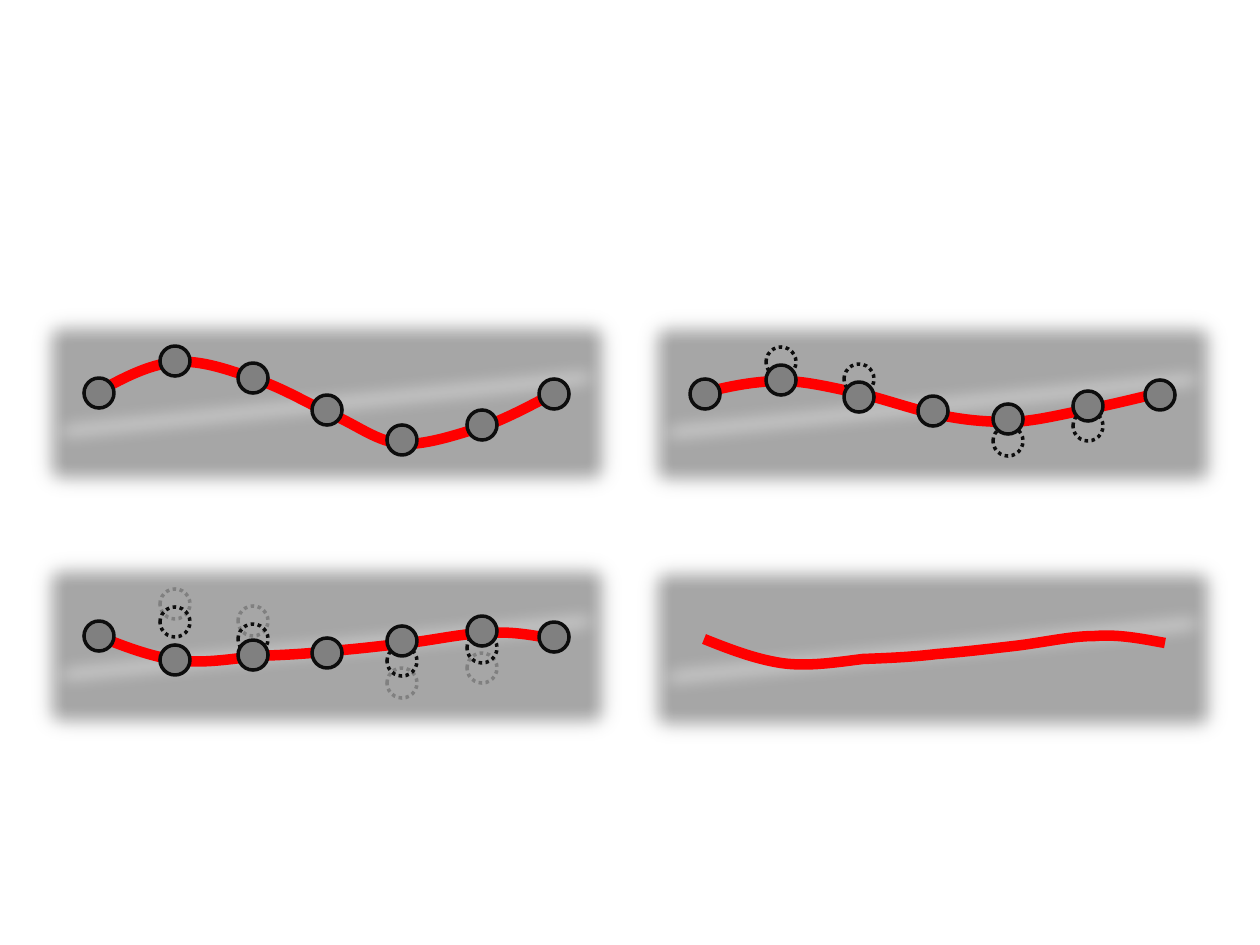
from pptx import Presentation
from pptx.dml.color import RGBColor
from pptx.enum.dml import MSO_LINE as Dash
from pptx.enum.shapes import MSO_SHAPE as Kind
from pptx.oxml.ns import qn
from pptx.util import Pt
from lxml.etree import SubElement

PX = 914400 / 126
WIDE, HIGH = 606, 205
DOT = 30
COLS = [60, 136, 214, 288, 363, 443, 515]
MOVED = [1, 2, 4, 5]
ROWS = [
    [77, 45, 62, 94, 124, 109, 78],
    [77, 63, 80, 94, 102, 89, 78],
    [77, 101, 96, 94, 82, 72, 78],
]
CURVES = [
    [(81, 87), (105, 74), (128, 63), (152, 61), (178, 59), (205, 69), (231, 78),
     (257, 86), (283, 102), (309, 114), (333, 124), (353, 141), (379, 143),
     (404, 144), (438, 132), (464, 124), (489, 115), (530, 92), (530, 92)],
    [(77, 90), (101, 84), (126, 79), (152, 79), (178, 79), (207, 87), (233, 92),
     (260, 99), (285, 108), (310, 113), (334, 118), (355, 120), (382, 120),
     (407, 119), (438, 111), (464, 106), (489, 101), (533, 90), (533, 90)],
    [(74, 92), (99, 102), (125, 112), (151, 116), (178, 120), (208, 115), (233, 112),
     (260, 111), (282, 110), (307, 107), (333, 105), (358, 102), (384, 99),
     (411, 96), (440, 89), (465, 89), (489, 87), (513, 92), (535, 96)],
]


def emu(px):
    return round(px * PX)


def color(text):
    return RGBColor.from_string(text)


def paint(shape, fill=None, line=None, width=2, dash=None):
    shape.shadow.inherit = False
    if fill:
        shape.fill.solid()
        shape.fill.fore_color.rgb = color(fill)
    else:
        shape.fill.background()
    if line:
        shape.line.color.rgb = color(line)
        shape.line.width = Pt(width)
        if dash:
            shape.line.dash_style = dash
    else:
        shape.line.fill.background()


def add(slide, kind, x, y, w, h, **style):
    shape = slide.shapes.add_shape(kind, emu(x), emu(y), emu(w), emu(h))
    paint(shape, **style)
    return shape


def soften(shape):
    effects = shape._element.spPr.find(qn("a:effectLst"))
    SubElement(effects, qn("a:softEdge")).set("rad", str(Pt(12.5)))


def draw_base(slide, x, y):
    soften(add(slide, Kind.RECTANGLE, x, y, WIDE, HIGH, fill="A6A6A6"))
    band = add(slide, Kind.RECTANGLE, x + 4, y + 71, 595, 64, fill="F2F2F2")
    band.rotation = -5.8
    soften(band)


def draw_curve(slide, x, y, points):
    pen = slide.shapes.build_freeform(*points[0], scale=PX)
    pen.add_line_segments(points[1:], close=False)
    curve = pen.convert_to_shape(emu(x), emu(y))
    paint(curve, line="FF0000", width=6)
    route = next(curve._element.iter(qn("a:path")))
    steps = route.findall(qn("a:lnTo"))
    for i in range(0, len(steps), 3):
        bend = SubElement(route, qn("a:cubicBezTo"))
        for step in steps[i:i + 3]:
            bend.append(step[0])
            route.remove(step)


def draw_dots(slide, x, y, rows, picks, **style):
    for i in picks:
        add(slide, Kind.OVAL, x + COLS[i], y + rows[i], DOT, DOT, **style)


def draw_panel(slide, x, y, stage, dots=True):
    draw_base(slide, x, y)
    draw_curve(slide, x, y, CURVES[stage])
    if not dots:
        return
    for past in range(stage):
        tone = "0D0D0D" if past == stage - 1 else "808080"
        draw_dots(slide, x, y, ROWS[past], MOVED, line=tone, dash=Dash.ROUND_DOT)
    draw_dots(slide, x, y, ROWS[stage], range(len(COLS)), fill="808080", line="0D0D0D")


deck = Presentation()
deck.slide_width, deck.slide_height = emu(1260), emu(945)
slide = deck.slides.add_slide(deck.slide_layouts[6])
draw_panel(slide, 24, 301, 0)
draw_panel(slide, 630, 302, 1)
draw_panel(slide, 24, 544, 2)
draw_panel(slide, 630, 547, 2, dots=False)
deck.save("out.pptx")
